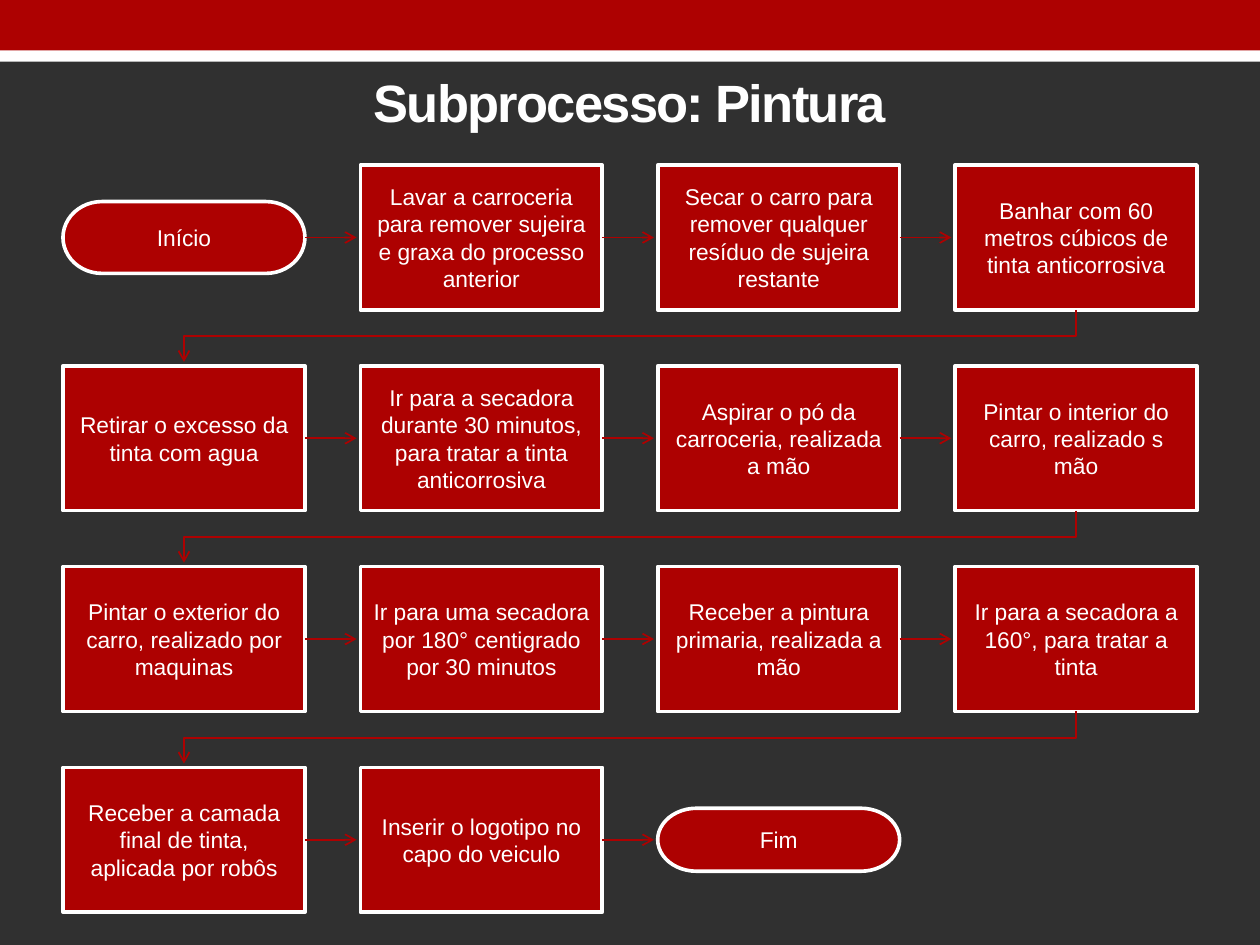
from dataclasses import dataclass
from itertools import pairwise

from lxml.etree import SubElement
from pptx import Presentation
from pptx.dml.color import RGBColor
from pptx.enum.shapes import MSO_CONNECTOR as Connector, MSO_SHAPE as Preset
from pptx.enum.text import MSO_ANCHOR as Anchor, MSO_AUTO_SIZE as AutoSize, PP_ALIGN as Align
from pptx.oxml.ns import qn
from pptx.util import Inches, Pt

RED = RGBColor(0xAD, 0x01, 0x01)
WHITE = RGBColor(0xFF, 0xFF, 0xFF)
CHARCOAL = RGBColor(0x30, 0x30, 0x30)

COLUMNS = 4
LEFT, TOP = 0.5, 1.31
STEP_WIDTH, STEP_HEIGHT = 1.92, 1.15
COLUMN_PITCH = 2.36
ROW_PITCH = (6.09 - TOP) / 3
ARROW_GAP = 0.03
ARROW_WIDTH = Pt(1)
TURN_DROP = 0.21

LABEL_FRAME = {
    "word_wrap": True,
    "vertical_anchor": Anchor.MIDDLE,
    "margin_left": Inches(0.1),
    "margin_right": Inches(0.1),
    "margin_top": Inches(0.1),
    "margin_bottom": Inches(0.1),
}
TITLE_FRAME = {
    "word_wrap": True,
    "vertical_anchor": Anchor.MIDDLE,
    "auto_size": AutoSize.NONE,
}
LABEL_FONT = {"name": "Arial", "size": Pt(13), "bold": False}
TITLE_FONT = {"name": "Arial", "size": Pt(30), "bold": True}


@dataclass(frozen=True)
class Step:
    label: str
    height: float = STEP_HEIGHT
    preset: Preset = Preset.RECTANGLE


@dataclass(frozen=True)
class Place:
    row: int
    column: int

    @property
    def left(self) -> float:
        return LEFT + self.column * COLUMN_PITCH

    @property
    def center_x(self) -> float:
        return self.left + STEP_WIDTH / 2

    @property
    def top(self) -> float:
        return TOP + self.row * ROW_PITCH

    @property
    def center_y(self) -> float:
        return self.top + STEP_HEIGHT / 2


STEPS = [
    Step("Início", 0.57, Preset.FLOWCHART_TERMINATOR),
    Step("Lavar a carroceria para remover sujeira e graxa do processo anterior"),
    Step("Secar o carro para remover qualquer resíduo de sujeira restante"),
    Step("Banhar com 60 metros cúbicos de tinta anticorrosiva"),
    Step("Retirar o excesso da tinta com agua"),
    Step("Ir para a secadora durante 30 minutos, para tratar a tinta anticorrosiva"),
    Step("Aspirar o pó da carroceria, realizada a mão"),
    Step("Pintar o interior do carro, realizado s mão"),
    Step("Pintar o exterior do carro, realizado por maquinas"),
    Step("Ir para uma secadora por 180° centigrado por 30 minutos"),
    Step("Receber a pintura primaria, realizada a mão"),
    Step("Ir para a secadora a 160°, para tratar a tinta"),
    Step("Receber a camada final de tinta, aplicada por robôs"),
    Step("Inserir o logotipo no capo do veiculo"),
    Step("Fim", 0.5, Preset.FLOWCHART_TERMINATOR),
]


def apply_format(target, values: dict) -> None:
    for attribute, value in values.items():
        setattr(target, attribute, value)


def write_text(frame, text: str, frame_format: dict, font_format: dict):
    apply_format(frame, frame_format)
    paragraph = frame.paragraphs[0]
    paragraph.alignment = Align.CENTER
    run = paragraph.add_run()
    run.text = text
    apply_format(run.font, font_format)
    run.font.color.rgb = WHITE
    return run


def draw_band(slide, top: float, height: float, color: RGBColor) -> None:
    band = slide.shapes.add_shape(
        Preset.RECTANGLE, 0, Inches(top), Inches(10), Inches(height)
    )
    band.shadow.inherit = False
    band.fill.solid()
    band.fill.fore_color.rgb = color
    band.line.fill.background()


def draw_title(slide, text: str) -> None:
    title = slide.shapes.title
    apply_format(title, {
        "left": Inches(0.5), "top": Inches(0.44),
        "width": Inches(9), "height": Inches(0.73),
    })
    run = write_text(title.text_frame, text, TITLE_FRAME, TITLE_FONT)
    run.font._element.set("spc", "-100")


def draw_step(slide, step: Step, place: Place):
    box = slide.shapes.add_shape(
        step.preset,
        Inches(place.left), Inches(place.center_y - step.height / 2),
        Inches(STEP_WIDTH), Inches(step.height),
    )
    box.shadow.inherit = False
    box.fill.solid()
    box.fill.fore_color.rgb = RED
    box.line.color.rgb = WHITE
    box.line.width = Pt(2.08)
    write_text(box.text_frame, step.label, LABEL_FRAME, LABEL_FONT)
    return box


def style_arrow(arrow) -> None:
    arrow.line.color.rgb = RED
    arrow.line.width = ARROW_WIDTH
    SubElement(arrow.line._get_or_add_ln(), qn("a:tailEnd"), type="arrow")


def draw_straight_arrow(slide, box, start: Place, end: Place) -> None:
    arrow = slide.shapes.add_connector(
        Connector.STRAIGHT,
        Inches(start.left + STEP_WIDTH), Inches(start.center_y),
        Inches(end.left - ARROW_GAP), Inches(end.center_y),
    )
    arrow.begin_connect(box, 3)
    style_arrow(arrow)
    SubElement(arrow._element.spPr, qn("a:effectLst"))


def draw_row_turn(slide, start: Place, end: Place) -> None:
    bottom = start.top + STEP_HEIGHT
    turn_y = bottom + TURN_DROP
    corners = [
        (start.center_x, turn_y),
        (end.center_x, turn_y),
        (end.center_x, end.top - ARROW_GAP),
    ]
    builder = slide.shapes.build_freeform(
        Inches(start.center_x), Inches(bottom), scale=1.0
    )
    builder.add_line_segments([(Inches(x), Inches(y)) for x, y in corners], close=False)
    turn = builder.convert_to_shape()
    turn.fill.background()
    style_arrow(turn)
    turn.shadow.inherit = False


def main() -> None:
    presentation = Presentation()
    presentation.slide_width = Inches(10)
    presentation.slide_height = Inches(7.5)
    slide = presentation.slides.add_slide(presentation.slide_layouts[5])
    slide.background.fill.solid()
    slide.background.fill.fore_color.rgb = CHARCOAL

    draw_band(slide, 0.24, 0.25, WHITE)
    draw_band(slide, 0, 0.4, RED)
    draw_title(slide, "Subprocesso: Pintura")

    places = [Place(*divmod(index, COLUMNS)) for index in range(len(STEPS))]
    boxes = [draw_step(slide, step, place) for step, place in zip(STEPS, places)]
    for box, (start, end) in zip(boxes, pairwise(places)):
        if start.row == end.row:
            draw_straight_arrow(slide, box, start, end)
        else:
            draw_row_turn(slide, start, end)

    presentation.save("out.pptx")


if __name__ == "__main__":
    main()
